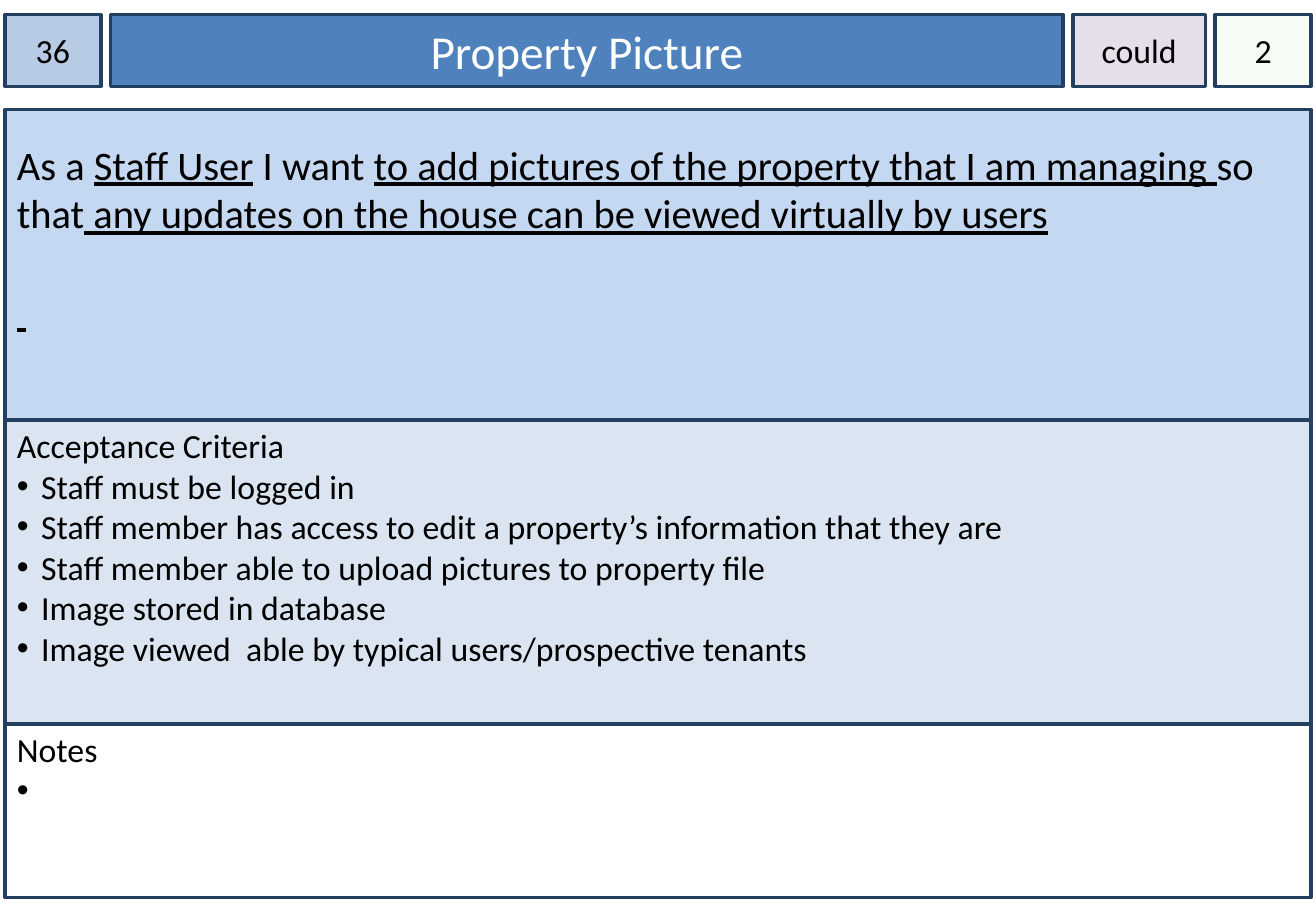
from pptx import Presentation
from pptx.dml.color import RGBColor
from pptx.enum.shapes import MSO_SHAPE
from pptx.enum.text import MSO_ANCHOR, PP_ALIGN
from pptx.oxml.ns import qn
from pptx.util import Inches, Pt
from lxml import etree

RECT = MSO_SHAPE.RECTANGLE
TOP, MIDDLE = MSO_ANCHOR.TOP, MSO_ANCHOR.MIDDLE
LEFT, CENTER = PP_ALIGN.LEFT, PP_ALIGN.CENTER
FONT, BLACK, WHITE, EDGE = "Calibri", "000000", "FFFFFF", "244061"

# Header cells: text, width, fill, opacity, size, colour, side inset
HEAD = [
    ("36", 0.79, "B7CCE4", 100, 20, BLACK, 0),
    ("Property Picture", 7.84, "4F81BD", 100, 28, WHITE, 0.1),
    ("could", 1.09, "E5DFEC", 100, 20, BLACK, 0),
    ("2", 0.79, "CCF0CD", 20, 20, BLACK, 0),
]
# Story pieces: text, underlined
STORY = [
    ("As a ", False),
    ("Staff User", True),
    (" I want ", False),
    ("to add pictures of the property that I am managing ", True),
    ("so that", False),
    (" any updates on the house can be viewed virtually by users", True),
]
REST = [(" ", True)]
# Lists: heading, bullets, height, fill
LISTS = [
    ("Acceptance Criteria", [
        "Staff must be logged in",
        "Staff member has access to edit a property’s information that they are",
        "Staff member able to upload pictures to property file",
        "Image stored in database",
        "Image viewed  able by typical users/prospective tenants",
    ], 2.5, "DAE5F1"),
    ("Notes", [" "], 1.43, WHITE),
]
EDGE_X, GAP = 0.04, 0.08
HEAD_Y, HEAD_H = 0.12, 0.59
STORY_Y, STORY_H, WIDE = 0.9, 2.56, 10.75

deck = Presentation()
deck.slide_width, deck.slide_height = Inches(10.83), Inches(7.5)
slide = deck.slides.add_slide(deck.slide_layouts[6])


def rgb(code):
    return RGBColor.from_string(code)


def box(x, y, w, h, fill, anchor=TOP, side=0.1, top=0.05):
    shape = slide.shapes.add_shape(RECT, *map(Inches, (x, y, w, h)))
    shape.shadow.inherit = False
    shape.fill.solid()
    shape.fill.fore_color.rgb = rgb(fill)
    shape.line.color.rgb = rgb(EDGE)
    shape.line.width = Pt(2)
    frame = shape.text_frame
    frame.word_wrap = True
    frame.vertical_anchor = anchor
    frame.margin_left = frame.margin_right = Inches(side)
    frame.margin_top, frame.margin_bottom = Inches(top), Inches(0.05)
    return shape


def fade(shape, share):
    color = shape.fill._xPr.find(qn("a:solidFill"))[0]
    etree.SubElement(color, qn("a:alpha")).set("val", str(share * 1000))


def bullet(para):
    props = para._p.get_or_add_pPr()
    props.set("marL", str(Inches(0.2)))
    props.set("indent", str(-Inches(0.2)))
    tint = etree.SubElement(props, qn("a:buClr"))
    etree.SubElement(tint, qn("a:srgbClr")).set("val", BLACK)
    etree.SubElement(props, qn("a:buFont")).set("typeface", "Arial")
    etree.SubElement(props, qn("a:buChar")).set("char", "•")


def style(para, size, color=BLACK, align=LEFT):
    para.alignment = align
    para.font.name, para.font.size = FONT, Pt(size)
    para.font.color.rgb = rgb(color)


# Header row
x = EDGE_X
for text, w, fill, share, size, color, side in HEAD:
    cell = box(x, HEAD_Y, w, HEAD_H, fill, MIDDLE, side)
    if share < 100:
        fade(cell, share)
    para = cell.text_frame.paragraphs[0]
    para.text = text
    style(para, size, color, CENTER)
    x += w + GAP

# User story
frame = box(EDGE_X, STORY_Y, WIDE, STORY_H, "C5D8F1", top=0.25).text_frame
tail = frame.add_paragraph()
tail.space_before = Pt(29)
for para, parts in zip(frame.paragraphs, (STORY, REST)):
    for text, under in parts:
        run = para.add_run()
        run.text = text
        run.font.underline = under
    style(para, 24)

# Criteria and notes, stacked below the story
y = STORY_Y + STORY_H
for title, items, h, fill in LISTS:
    frame = box(EDGE_X, y, WIDE, h, fill, top=0.04).text_frame
    frame.paragraphs[0].text = title
    style(frame.paragraphs[0], 20)
    for item in items:
        para = frame.add_paragraph()
        para.text = item
        bullet(para)
        style(para, 20)
    y += h

deck.save("out.pptx")
